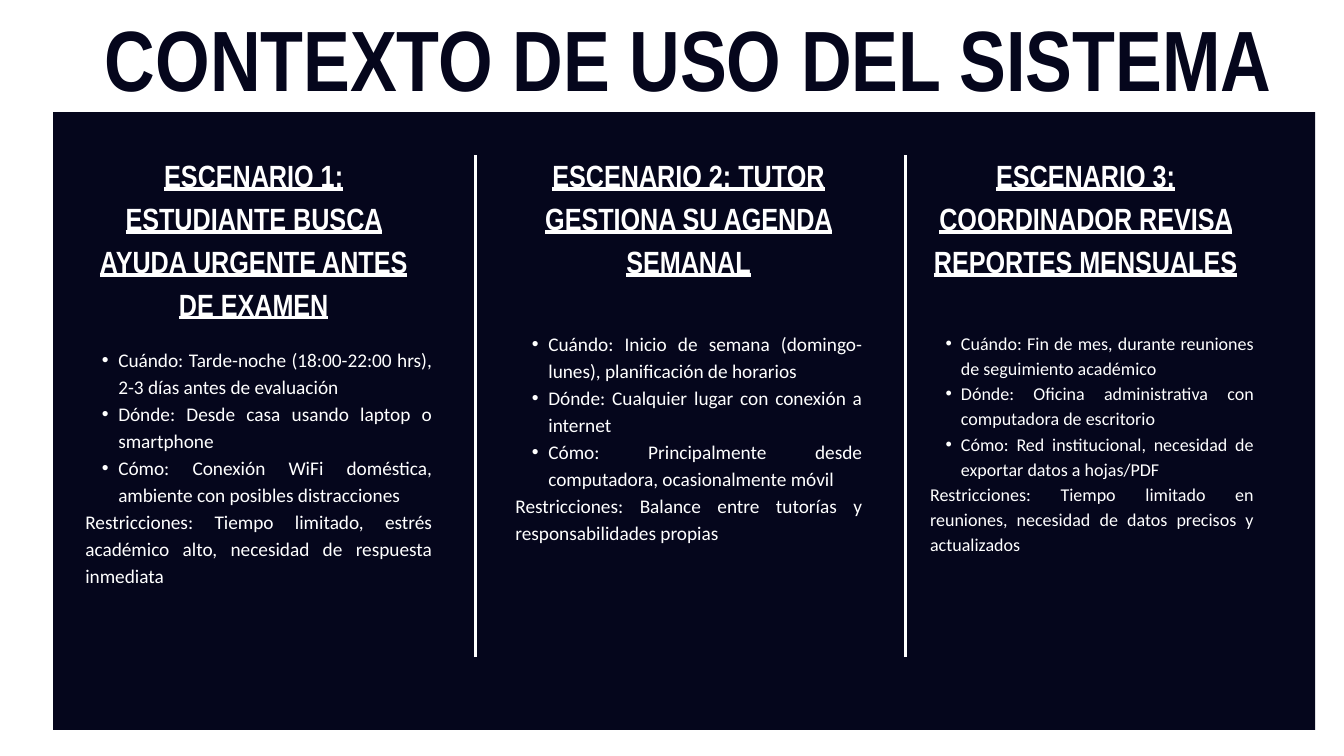
from dataclasses import dataclass
from typing import NamedTuple

from lxml.etree import SubElement
from pptx import Presentation
from pptx.dml.color import RGBColor
from pptx.enum.shapes import MSO_CONNECTOR, MSO_SHAPE
from pptx.enum.text import MSO_AUTO_SIZE, PP_ALIGN
from pptx.oxml.ns import qn
from pptx.util import Inches, Pt


class Box(NamedTuple):
    """A region in columns and rows of the slide grid."""
    left: float
    top: float
    width: float
    height: float


class TextStyle(NamedTuple):
    """Font, size, line spacing and colour of a kind of text."""
    font: str
    size: float
    spacing: float
    color: RGBColor
    bold: bool = False
    underline: bool = False
    indent: float = 0


class Scenario(NamedTuple):
    """The wording and layout of one scenario column."""
    box: Box
    heading_shift: float
    body_row: float
    style: TextStyle
    heading: str
    bullets: list
    restrictions: str


@dataclass(frozen=True)
class Theme:
    """Colours and type styles of the slide."""
    navy = RGBColor(0x05, 0x06, 0x1C)
    white = RGBColor(0xFF, 0xFF, 0xFF)
    title = TextStyle("Arial Narrow", 91.7, 93.5, navy, bold=True)
    heading = TextStyle("Arial Narrow", 32.9, 46, white, bold=True, underline=True)
    body = TextStyle("Calibri", 20.7, 28.9, white, indent=0.49)
    small_body = TextStyle("Calibri", 19.3, 27, white, indent=0.46)
    divider_width = Pt(3)


THEME = Theme()
COLUMNS, ROWS = 80, 45
SLIDE_WIDTH, SLIDE_HEIGHT = Inches(20), Inches(11.25)
TITLE_BOX = Box(3.16, 1.28, 75.64, 5.4)
PANEL_BOX = Box(3.16, 6.68, 75.12, 36.76)
DIVIDER_COLUMNS = (28.32, 53.88)
DIVIDER_TOP, DIVIDER_HEIGHT = 9.2, 29.92
HEADING_WIDTH, HEADING_HEIGHT = 20.04, 7.52

SCENARIOS = [
    Scenario(
        Box(5.08, 8.96, 20.64, 25.92), 0, 11.56, THEME.body,
        "ESCENARIO 1: ESTUDIANTE BUSCA AYUDA URGENTE ANTES DE EXAMEN",
        ["Cuándo: Tarde-noche (18:00-22:00 hrs), 2-3 días antes de evaluación",
         "Dónde: Desde casa usando laptop o smartphone",
         "Cómo: Conexión WiFi doméstica, ambiente con posibles distracciones"],
        "Restricciones: Tiempo limitado, estrés académico alto, "
        "necesidad de respuesta inmediata"),
    Scenario(
        Box(30.68, 8.96, 20.64, 23.36), 0.28, 10.6, THEME.body,
        "ESCENARIO 2: TUTOR GESTIONA SU AGENDA SEMANAL",
        ["Cuándo: Inicio de semana (domingo-lunes), planificación de horarios",
         "Dónde: Cualquier lugar con conexión a internet",
         "Cómo: Principalmente desde computadora, ocasionalmente móvil"],
        "Restricciones: Balance entre tutorías y responsabilidades propias"),
    Scenario(
        Box(55.36, 8.96, 19.28, 25.56), -0.76, 10.6, THEME.small_body,
        "ESCENARIO 3: COORDINADOR REVISA REPORTES MENSUALES",
        ["Cuándo: Fin de mes, durante reuniones de seguimiento académico",
         "Dónde: Oficina administrativa con computadora de escritorio",
         "Cómo: Red institucional, necesidad de exportar datos a hojas/PDF"],
        "Restricciones: Tiempo limitado en reuniones, "
        "necesidad de datos precisos y actualizados"),
]


def to_lengths(box):
    """Turn a grid box into slide lengths."""
    column, row = SLIDE_WIDTH / COLUMNS, SLIDE_HEIGHT / ROWS
    return [round(value * unit) for value, unit in zip(box, (column, row) * 2)]


def add_bullet(paragraph, indent):
    """Give a paragraph a hanging bullet."""
    paragraph.level = 1
    properties = paragraph._p.get_or_add_pPr()
    properties.set("marL", str(Inches(indent)))
    properties.set("indent", str(-Inches(indent / 2)))
    SubElement(properties, qn("a:buFont")).set("typeface", "Arial")
    SubElement(properties, qn("a:buChar")).set("char", "•")


def add_text(slide, box, lines, style, alignment, bullet_count=0):
    """Add a text box whose first paragraphs may be bulleted."""
    frame = slide.shapes.add_textbox(*to_lengths(box)).text_frame
    frame.word_wrap = True
    frame.auto_size = MSO_AUTO_SIZE.SHAPE_TO_FIT_TEXT
    frame.margin_left = frame.margin_right = 0
    frame.margin_top = frame.margin_bottom = 0
    frame.text = "\n".join(lines)
    for index, paragraph in enumerate(frame.paragraphs):
        if index < bullet_count:
            add_bullet(paragraph, style.indent)
        paragraph.alignment = alignment
        paragraph.line_spacing = Pt(style.spacing)
        for run in paragraph.runs:
            run.font.name = style.font
            run.font.size = Pt(style.size)
            run.font.bold = style.bold
            run.font.underline = style.underline
            run.font.color.rgb = style.color


def add_panel(slide, box):
    """Add the dark panel behind the scenarios."""
    panel = slide.shapes.add_shape(MSO_SHAPE.RECTANGLE, *to_lengths(box))
    panel.shadow.inherit = False
    panel.fill.solid()
    panel.fill.fore_color.rgb = THEME.navy
    panel.line.fill.background()


def add_scenario(slide, scenario):
    """Add the heading and details of a scenario within its box."""
    box = scenario.box
    heading_box = Box(box.left + scenario.heading_shift, box.top,
                      HEADING_WIDTH, HEADING_HEIGHT)
    body_box = Box(box.left, box.top + scenario.body_row,
                   box.width, box.height - scenario.body_row)
    add_text(slide, heading_box, [scenario.heading], THEME.heading, PP_ALIGN.CENTER)
    add_text(slide, body_box, [*scenario.bullets, scenario.restrictions],
             scenario.style, PP_ALIGN.JUSTIFY, len(scenario.bullets))


def add_divider(slide, box):
    """Add a vertical line along the left edge of a box, drawn upwards."""
    left, top, width, height = to_lengths(box)
    divider = slide.shapes.add_connector(
        MSO_CONNECTOR.STRAIGHT, left, top + height, left + width, top)
    divider.line.color.rgb = THEME.white
    divider.line.width = THEME.divider_width
    SubElement(divider._element.spPr, qn("a:effectLst"))


def main():
    """Build and save the slide."""
    presentation = Presentation()
    presentation.slide_width = SLIDE_WIDTH
    presentation.slide_height = SLIDE_HEIGHT
    slide = presentation.slides.add_slide(presentation.slide_layouts[6])
    add_panel(slide, PANEL_BOX)
    add_text(slide, TITLE_BOX, ["CONTEXTO DE USO DEL SISTEMA"],
             THEME.title, PP_ALIGN.CENTER)
    for scenario in SCENARIOS:
        add_scenario(slide, scenario)
    for column in DIVIDER_COLUMNS:
        add_divider(slide, Box(column, DIVIDER_TOP, 0, DIVIDER_HEIGHT))
    presentation.save("out.pptx")


if __name__ == "__main__":
    main()
